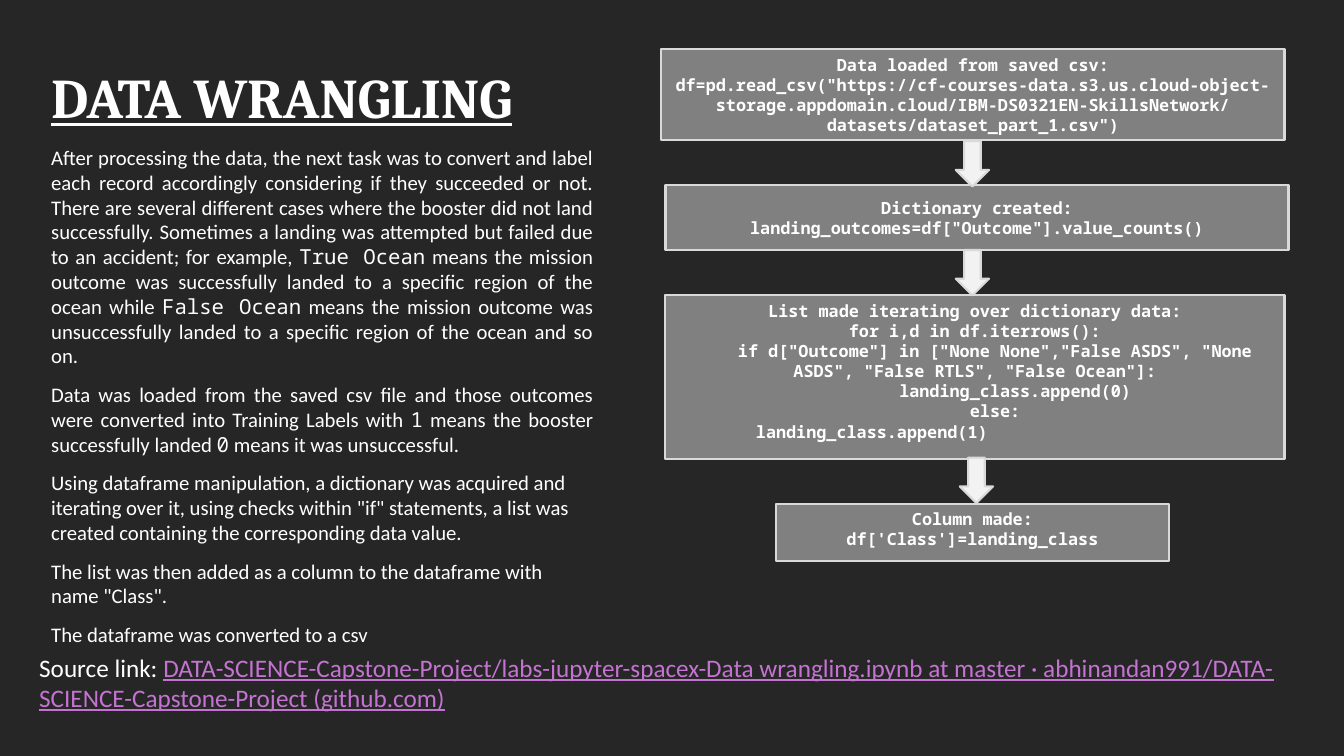
from dataclasses import dataclass

from pptx import Presentation
from pptx.dml.color import RGBColor
from pptx.enum.shapes import MSO_SHAPE
from pptx.enum.text import MSO_ANCHOR, PP_ALIGN
from pptx.shapes.autoshape import Shape
from pptx.slide import Slide
from pptx.text.text import TextFrame
from pptx.util import Inches, Pt


@dataclass(frozen=True)
class Theme:
    back: RGBColor = RGBColor(0x26, 0x26, 0x26)
    text: RGBColor = RGBColor(0xFF, 0xFF, 0xFF)
    link: RGBColor = RGBColor(0xC5, 0x73, 0xD2)
    box: RGBColor = RGBColor(0x80, 0x80, 0x80)
    arrow: RGBColor = RGBColor(0xF2, 0xF2, 0xF2)
    edge: RGBColor = RGBColor(0xD9, 0xD9, 0xD9)
    head: str = "Cambria"
    body: str = "Calibri"
    mono: str = "Noto Sans Mono"
    title_size: float = 40
    link_size: float = 18
    body_size: float = 14.8
    code_size: float = 12
    body_pitch: float = 17.7
    code_pitch: float = 14.4
    edge_width: float = 1.5


@dataclass(frozen=True)
class Place:
    left: float
    top: float
    width: float
    height: float

    def lengths(self) -> tuple:
        return tuple(map(Inches, (self.left, self.top, self.width, self.height)))


@dataclass(frozen=True)
class Run:
    text: str
    font: str = Theme.body
    color: RGBColor = Theme.text
    under: bool = False


@dataclass(frozen=True)
class Step:
    place: Place
    lines: tuple[str, ...]
    anchor: MSO_ANCHOR = MSO_ANCHOR.MIDDLE
    last: PP_ALIGN = PP_ALIGN.CENTER


THEME = Theme()
LEFT, CENTER, JUSTIFY = PP_ALIGN.LEFT, PP_ALIGN.CENTER, PP_ALIGN.JUSTIFY

STORY = (
    (JUSTIFY, (
        Run("After processing the data, the next task was to convert and label each record "
            "accordingly considering if they succeeded or not. There are several different cases "
            "where the booster did not land successfully. Sometimes a landing was attempted but "
            "failed due to an accident; for example, "),
        Run("True Ocean", THEME.mono),
        Run(" means the mission outcome was successfully landed to a specific region of the "
            "ocean while "),
        Run("False Ocean", THEME.mono),
        Run(" means the mission outcome was unsuccessfully landed to a specific region of the "
            "ocean and so on."),
    )),
    (JUSTIFY, (
        Run("Data was loaded from the saved csv file and those outcomes were converted into "
            "Training Labels with "),
        Run("1", THEME.mono),
        Run(" means the booster successfully landed "),
        Run("0", THEME.mono),
        Run(" means it was unsuccessful."),
    )),
    (LEFT, (Run("Using dataframe manipulation, a dictionary was acquired and iterating over it, "
                "using checks within \"if\" statements, a list was created containing the "
                "corresponding data value."),)),
    (LEFT, (Run("The list was then added as a column to the dataframe with name \"Class\"."),)),
    (LEFT, (Run("The dataframe was converted to a csv"),)),
)

STEPS = (
    Step(Place(6.56, 0.49, 6.18, 0.9), (
        "Data loaded from saved csv:",
        'df=pd.read_csv("https://cf-courses-data.s3.us.cloud-object-storage.appdomain.cloud/'
        'IBM-DS0321EN-SkillsNetwork/datasets/dataset_part_1.csv")',
    )),
    Step(Place(6.6, 1.84, 6.18, 0.64), (
        "Dictionary created:",
        'landing_outcomes=df["Outcome"].value_counts()',
    )),
    Step(Place(6.6, 2.93, 6.14, 1.62), (
        "List made iterating over dictionary data:",
        "for i,d in df.iterrows():",
        '    if d["Outcome"] in ["None None","False ASDS", "None ASDS", "False RTLS", '
        '"False Ocean"]:',
        "        landing_class.append(0)",
        "    else:",
        "        landing_class.append(1)",
    ), MSO_ANCHOR.TOP, LEFT),
    Step(Place(7.7, 5, 3.89, 0.57), (
        "Column made:",
        "df['Class']=landing_class",
    ), MSO_ANCHOR.TOP),
)

ARROWS = tuple(Place(left, top, 0.33, 0.45)
               for left, top in ((9.48, 1.4), (9.48, 2.48), (9.52, 4.54)))


def write(frame: TextFrame, runs: tuple[Run, ...], *, size: float, bold: bool = False,
          align: PP_ALIGN = LEFT, pitch: float | None = None, after: float = 0) -> None:
    """Fill the empty first paragraph of the frame, or add one below the text."""
    para = frame.paragraphs[0] if not frame.text else frame.add_paragraph()
    para.alignment = align
    para.space_before, para.space_after = Pt(0), Pt(after)
    if pitch:
        para.line_spacing = Pt(pitch)
    for part in runs:
        run = para.add_run()
        run.text = part.text
        font = run.font
        font.name, font.size, font.bold = part.font, Pt(size), bold
        font.underline = part.under
        font.color.rgb = part.color


def add_frame(slide: Slide, place: Place, anchor: MSO_ANCHOR = MSO_ANCHOR.TOP) -> TextFrame:
    frame = slide.shapes.add_textbox(*place.lengths()).text_frame
    frame.word_wrap = True
    frame.vertical_anchor = anchor
    return frame


def add_block(slide: Slide, kind: MSO_SHAPE, place: Place, fill: RGBColor) -> Shape:
    block = slide.shapes.add_shape(kind, *place.lengths())
    block.shadow.inherit = False
    block.fill.solid()
    block.fill.fore_color.rgb = fill
    block.line.color.rgb = THEME.edge
    block.line.width = Pt(THEME.edge_width)
    return block


def add_step(slide: Slide, step: Step) -> None:
    frame = add_block(slide, MSO_SHAPE.FLOWCHART_PROCESS, step.place, THEME.box).text_frame
    frame.word_wrap = True
    frame.vertical_anchor = step.anchor
    final = len(step.lines) - 1
    for index, line in enumerate(step.lines):
        write(frame, (Run(line, THEME.mono),), size=THEME.code_size, bold=True,
              align=step.last if index == final else CENTER, pitch=THEME.code_pitch)


def main() -> None:
    deck = Presentation()
    deck.slide_width, deck.slide_height = Inches(13.33), Inches(7.5)
    slide = deck.slides.add_slide(deck.slide_layouts[6])
    slide.background.fill.solid()
    slide.background.fill.fore_color.rgb = THEME.back

    title = add_frame(slide, Place(0.41, 0.31, 6.57, 1.29), MSO_ANCHOR.MIDDLE)
    write(title, (Run("DATA WRANGLING", THEME.head, under=True),),
          size=THEME.title_size, bold=True)

    story = add_frame(slide, Place(0.41, 1.39, 5.57, 4.87))
    for align, runs in STORY:
        write(story, runs, size=THEME.body_size, align=align,
              pitch=THEME.body_pitch, after=10)

    link = add_frame(slide, Place(0.29, 6.42, 12.75, 0.71))
    write(link, (
        Run("Source link: "),
        Run("DATA-SCIENCE-Capstone-Project/labs-jupyter-spacex-Data wrangling.ipynb at master · "
            "abhinandan991/DATA-SCIENCE-Capstone-Project (github.com)",
            color=THEME.link, under=True),
    ), size=THEME.link_size)

    for step in STEPS:
        add_step(slide, step)
    for place in ARROWS:
        add_block(slide, MSO_SHAPE.DOWN_ARROW, place, THEME.arrow)
    deck.save("out.pptx")


if __name__ == "__main__":
    main()
